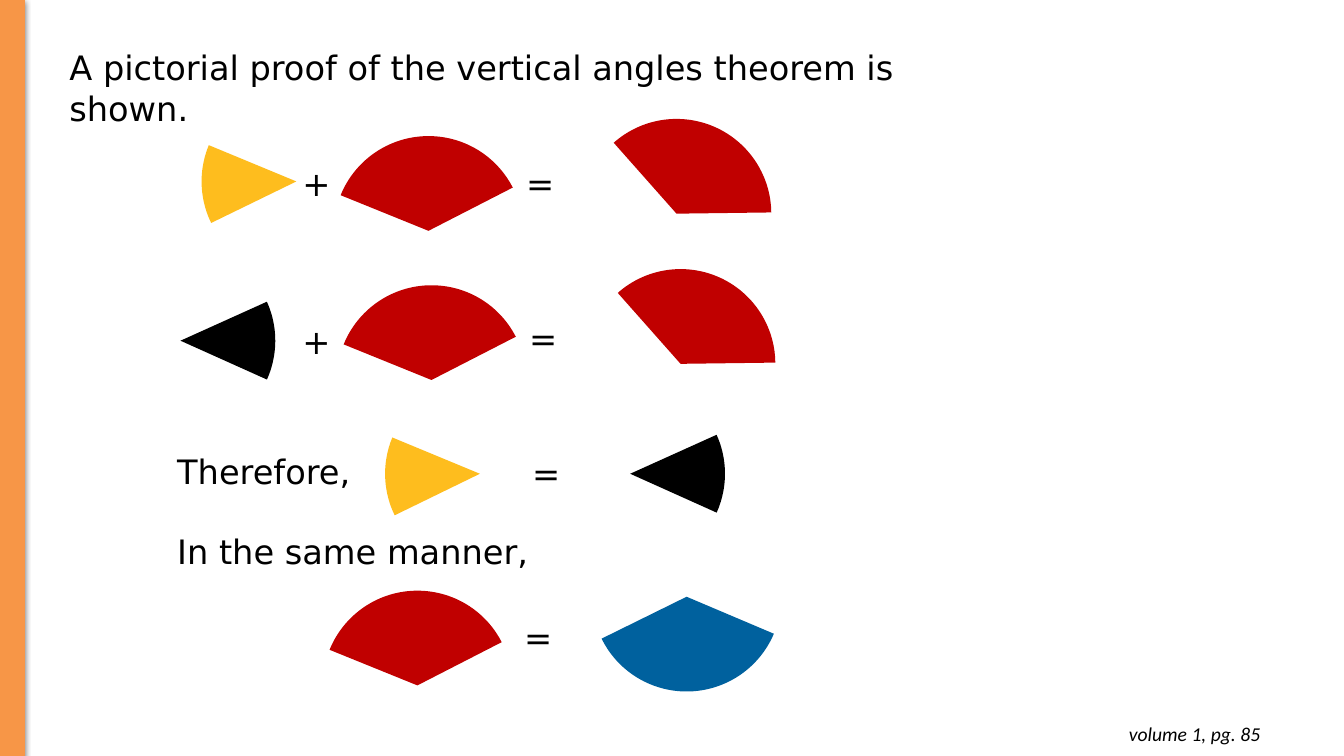
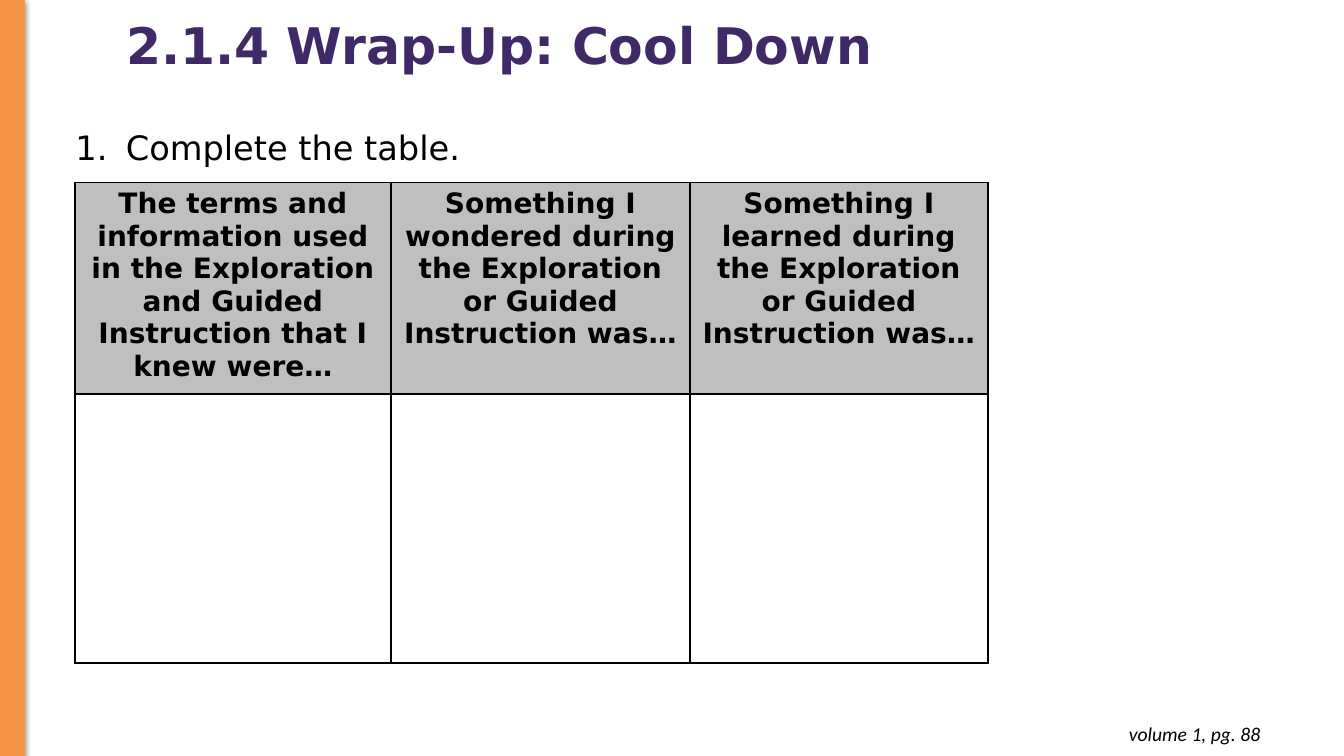
import dataclasses

import lxml.etree
import pptx
import pptx.dml.color
import pptx.enum.shapes
import pptx.enum.text
import pptx.oxml.ns
import pptx.util

Inches = pptx.util.Inches
Pt = pptx.util.Pt
ALIGN = pptx.enum.text.PP_ALIGN
ANCHOR = pptx.enum.text.MSO_ANCHOR
FIT = pptx.enum.text.MSO_AUTO_SIZE
SHAPE = pptx.enum.shapes.MSO_SHAPE


# Colours, fonts and type sizes
@dataclasses.dataclass(frozen=True)
class Theme:
    black: str = "000000"
    orange: str = "F79647"
    purple: str = "3F2A67"
    gold: str = "FEBD1E"
    red: str = "C00000"
    blue: str = "00619E"
    grey: str = "BFBFBF"
    sans: str = "DejaVu Sans"
    note: str = "Calibri"
    head: int = 36
    body: int = 24
    cell: int = 20
    foot: int = 14


THEME = Theme()

# Pie angles, in units of 100000/60000 degree
NARROW = (123.423, 152.521)
WIDE = (105.709, 184.166)
DISC = 1.88

# Wedge kinds: angles, rotation, colour
GOLD = (NARROW, 308.3, THEME.gold)
BLACK = (NARROW, 130, THEME.black)
RED = (WIDE, 25.9, THEME.red)
TURNED = (WIDE, 52.3, THEME.red)
BLUE = (WIDE, 206.8, THEME.blue)

# Wedges and signs of the proof: kind or sign, left, top
WEDGES = [
    (GOLD, 2, 0.86), (RED, 3.31, 1.35), (TURNED, 5.77, 1.18),
    (BLACK, 0.85, 2.44), (RED, 3.34, 2.83), (TURNED, 5.81, 2.67),
    (GOLD, 3.82, 3.76), (BLACK, 5.31, 3.76),
    (RED, 3.2, 5.86), (BLUE, 5.87, 4.98),
]
SIGNS = [
    ("+", 2.9, 1.57), ("=", 5.12, 1.57),
    ("+", 2.9, 3.13), ("=", 5.15, 3.1),
    ("=", 5.18, 4.44), ("=", 5.1, 6.07),
]

HEADS = [
    "The terms and information used in the Exploration and Guided "
    "Instruction that I knew were…",
    "Something I wondered during the Exploration or Guided Instruction was…",
    "Something I learned during the Exploration or Guided Instruction was…",
]


def rgb(color):
    return pptx.dml.color.RGBColor.from_string(color)


def node(parent, tag, **attrs):
    """Append a drawing element to parent."""
    child = lxml.etree.SubElement(parent, pptx.oxml.ns.qn("a:" + tag))
    for name, value in attrs.items():
        child.set(name, str(value))
    return child


def add_run(para, text, size, color=THEME.black, font=THEME.sans,
            bold=False, italic=False):
    run = para.add_run()
    run.text = text
    run.font.size = Pt(size)
    run.font.name = font
    run.font.bold = bold
    run.font.italic = italic
    run.font.color.rgb = rgb(color)


def add_text(slide, left, top, width, height=0.5):
    """Add a wrapping text box and return its frame."""
    box = slide.shapes.add_textbox(
        Inches(left), Inches(top), Inches(width), Inches(height))
    box.text_frame.word_wrap = True
    box.text_frame.auto_size = FIT.SHAPE_TO_FIT_TEXT
    return box.text_frame


def add_line(slide, text, left, top, width):
    """Add one line or paragraph of body text."""
    para = add_text(slide, left, top, width).paragraphs[0]
    add_run(para, text, THEME.body)
    return para


def add_bar(slide):
    """Add the shadowed band at the left edge."""
    bar = slide.shapes.add_shape(
        SHAPE.RECTANGLE, 0, 0, Inches(0.24), Inches(7.5))
    bar.fill.solid()
    bar.fill.fore_color.rgb = rgb(THEME.orange)
    bar.line.color.rgb = rgb(THEME.orange)
    bar.line.width = Pt(0.75)
    bar.shadow.inherit = False
    effects = bar.element.spPr.find(pptx.oxml.ns.qn("a:effectLst"))
    shadow = node(effects, "outerShdw", blurRad=Pt(4.5), dist=Pt(1.5),
                  dir=90 * 60000, algn="ctr", rotWithShape=0)
    node(node(shadow, "srgbClr", val=THEME.black), "alpha", val=50000)


def add_foot(slide, page):
    frame = add_text(slide, 9.72, 7.06, 2.88, 0.44)
    frame.margin_top = frame.margin_bottom = Inches(0.1)
    para = frame.paragraphs[0]
    para.alignment = ALIGN.RIGHT
    add_run(para, f"volume 1, pg. {page}", THEME.foot,
            font=THEME.note, italic=True)


def add_wedge(slide, kind, left, top):
    angles, turn, color = kind
    pie = slide.shapes.add_shape(
        SHAPE.PIE, Inches(left), Inches(top), Inches(DISC), Inches(DISC))
    pie.adjustments[0], pie.adjustments[1] = angles
    pie.rotation = turn
    pie.fill.solid()
    pie.fill.fore_color.rgb = rgb(color)
    pie.line.fill.background()
    pie.shadow.inherit = False


def add_title(slide, text):
    title = slide.shapes.title
    title.left, title.top = Inches(1.15), Inches(0.15)
    title.width, title.height = Inches(8.77), Inches(0.65)
    frame = title.text_frame
    frame.word_wrap = True
    frame.auto_size = FIT.NONE
    frame.vertical_anchor = ANCHOR.MIDDLE
    para = frame.paragraphs[0]
    para.alignment = ALIGN.LEFT
    para.line_spacing = 0.9
    add_run(para, text, THEME.head, THEME.purple, bold=True)


def add_step(slide, text, left, top, width):
    """Add a numbered instruction."""
    para = add_text(slide, left, top, width).paragraphs[0]
    props = para._p.get_or_add_pPr()
    props.set("marL", str(Inches(0.5)))
    props.set("indent", str(-Inches(0.5)))
    node(node(props, "buClr"), "srgbClr", val=THEME.black)
    node(props, "buFont", typeface=THEME.sans)
    node(props, "buAutoNum", type="arabicPeriod")
    add_run(para, text, THEME.body)


def edge_cell(cell):
    """Draw all four borders of a cell."""
    props = cell._tc.get_or_add_tcPr()
    for side in ("lnL", "lnR", "lnT", "lnB"):
        line = node(props, side, w=Pt(1.5))
        node(node(line, "solidFill"), "srgbClr", val=THEME.black)


def add_grid(slide, heads, left, top, widths, heights):
    """Add a table with a header row and blank rows to fill in."""
    grid = slide.shapes.add_table(
        len(heights), len(widths), Inches(left), Inches(top),
        Inches(sum(widths)), Inches(sum(heights))).table
    grid.first_row = grid.horz_banding = False
    for col, width in zip(grid.columns, widths):
        col.width = Inches(width)
    for row, height in zip(grid.rows, heights):
        row.height = Inches(height)
    for cell in grid.iter_cells():
        edge_cell(cell)
        cell.fill.background()
    for cell, text in zip(grid.rows[0].cells, heads):
        cell.fill.solid()
        cell.fill.fore_color.rgb = rgb(THEME.grey)
        para = cell.text_frame.paragraphs[0]
        para.alignment = ALIGN.CENTER
        add_run(para, text, THEME.cell, bold=True)


def add_page(deck, layout, page):
    """Add a slide with the shared band and footer."""
    slide = deck.slides.add_slide(deck.slide_layouts.get_by_name(layout))
    add_bar(slide)
    add_foot(slide, page)
    return slide


def main():
    deck = pptx.Presentation()
    deck.slide_width, deck.slide_height = Inches(13.33), Inches(7.5)

    # Proof of the vertical angles theorem
    proof = add_page(deck, "Blank", 85)
    add_line(proof, "A pictorial proof of the vertical angles theorem "
             "is shown.", 0.59, 0.42, 9.11)
    add_line(proof, "Therefore,", 1.66, 4.42, 2.1)
    add_line(proof, "In the same manner,", 1.66, 5.22, 4.5)
    for kind, left, top in WEDGES:
        add_wedge(proof, kind, left, top)
    for sign, left, top in SIGNS:
        add_line(proof, sign, left, top, 0.73)

    # Wrap-up table
    wrap = add_page(deck, "Title Only", 88)
    add_title(wrap, "2.1.4 Wrap-Up: Cool Down")
    add_step(wrap, "Complete the table.", 0.65, 1.21, 9.11)
    add_grid(wrap, HEADS, 0.74, 1.81, (3.14, 2.96, 2.96), (2.1, 2.67))

    deck.save("out.pptx")


if __name__ == "__main__":
    main()
